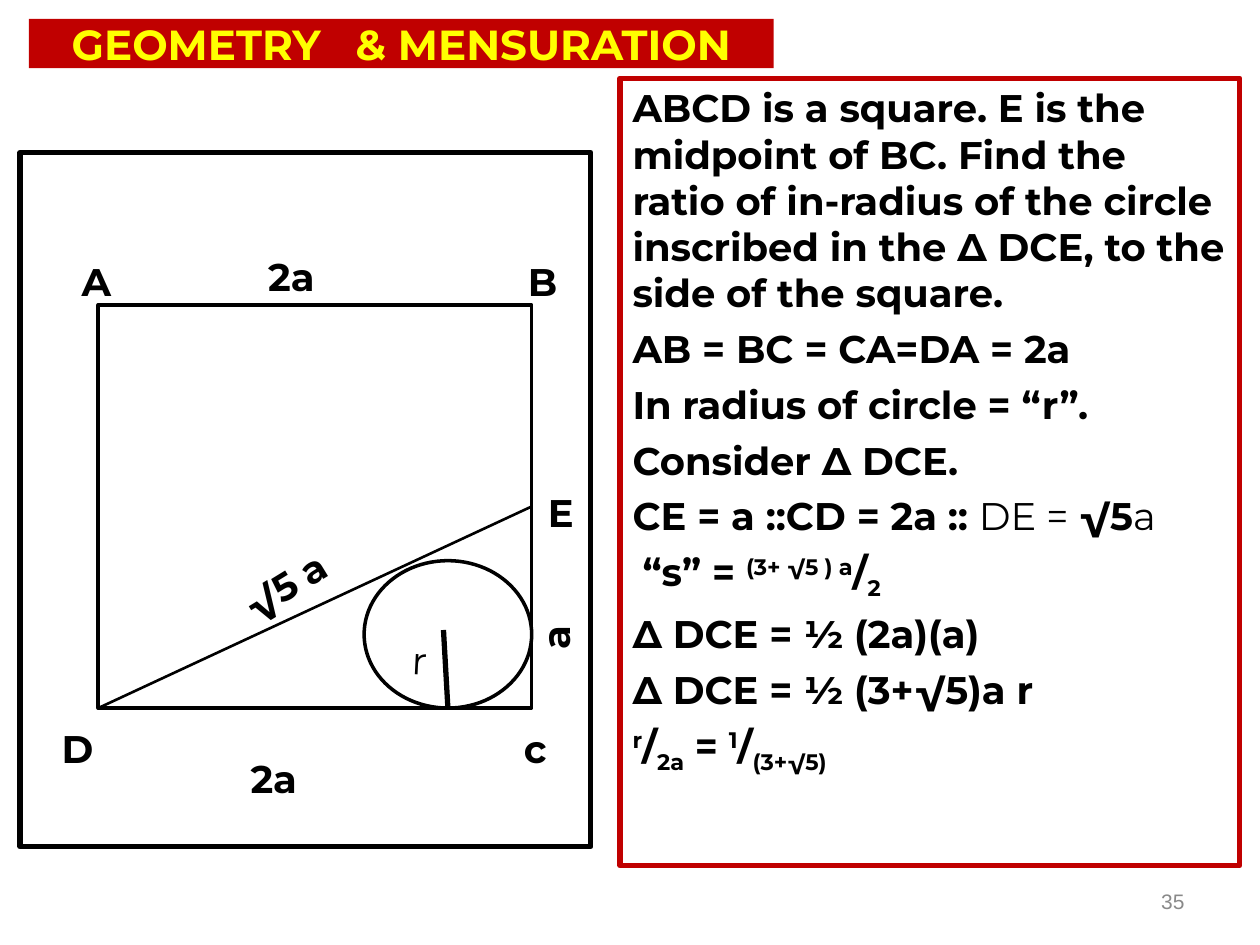
from dataclasses import dataclass

from pptx import Presentation
from pptx.dml.color import RGBColor
from pptx.enum import shapes, text
from pptx.oxml.ns import qn
from pptx.util import Inches, Pt

COLORS = {"ink": "000000", "red": "C00000", "yellow": "FFFF00", "grey": "898989"}
FONT = "Montserrat"
SUP, SUB = 30, -25


@dataclass
class Label:
    text: str
    left: float
    top: float
    width: float = 0.59
    height: float = 0.51
    rotation: float = 0
    bold: bool = True


@dataclass
class Part:
    text: str
    base: int = 0
    bold: bool = True


def rgb(name: str) -> RGBColor:
    return RGBColor.from_string(COLORS[name])


def place(sp, left: float, top: float, width: float, height: float) -> None:
    sp.left, sp.top = Inches(left), Inches(top)
    sp.width, sp.height = Inches(width), Inches(height)


def prepare(sp, anchor):
    tf = sp.text_frame
    tf.word_wrap = True
    tf.auto_size = text.MSO_AUTO_SIZE.NONE
    tf.vertical_anchor = anchor
    return tf


def add_run(p, content: str, *, size: float = 22, color: str = "ink", bold: bool = True,
            font: str = FONT, base: int = 0, spacing: float = 0) -> None:
    r = p.add_run()
    r.text = content
    r.font.name, r.font.size, r.font.bold = font, Pt(size), bold
    r.font.color.rgb = rgb(color)
    rPr = r._r.get_or_add_rPr()
    if base:
        rPr.set("baseline", str(base * 1000))
    if spacing:
        rPr.set("spc", str(round(spacing * 100)))


def add_outline(slide, kind, box: tuple, width: float):
    sp = slide.shapes.add_shape(kind, *map(Inches, box))
    sp.shadow.inherit = False
    sp.fill.background()
    sp.line.color.rgb = rgb("ink")
    sp.line.width = Pt(width)
    return sp


def add_line(slide, start: tuple, end: tuple, width: float):
    cx = slide.shapes.add_connector(shapes.MSO_CONNECTOR.STRAIGHT,
                                    *map(Inches, start + end))
    cx.line.color.rgb = rgb("ink")
    cx.line.width = Pt(width)
    spPr = cx._element.spPr
    spPr.append(spPr.makeelement(qn("a:effectLst"), {}))
    return cx


def add_label(slide, label: Label, anchor) -> None:
    box = (label.left, label.top, label.width, label.height)
    sp = slide.shapes.add_textbox(*map(Inches, box))
    sp.rotation = label.rotation
    add_run(prepare(sp, anchor).paragraphs[0], label.text, bold=label.bold)


def add_step(p, parts: list, indent: float = 0) -> None:
    pPr = p._p.get_or_add_pPr()
    pPr.set("marL", str(Inches(indent)))
    pPr.set("indent", "0")
    pPr.append(pPr.makeelement(qn("a:buNone"), {}))
    for part in parts:
        add_run(p, part.text, base=part.base, bold=part.bold)


STEPS = [
    [Part("ABCD is a square. E is the midpoint of BC. Find the ratio of in-radius of "
          "the circle inscribed in the ∆ DCE, to the side of the square.")],
    [Part("AB = BC = CA=DA = 2a")],
    [Part("In radius of circle = “r”.")],
    [Part("Consider ∆ DCE.")],
    [Part("CE = a ::CD = 2a :: "), Part("DE = ", bold=False), Part("√5"),
     Part("a", bold=False)],
    [Part("“s” = "), Part("(3+ √5 ) a", SUP), Part("/"), Part("2", SUB)],
    [Part("∆ DCE = ½ (2a)(a)")],
    [Part("∆ DCE = ½ (3+√5)a r")],
    [Part("r", SUP), Part("/"), Part("2a", SUB), Part(" = "), Part("1", SUP),
     Part("/"), Part("(3+√5)", SUB)],
]

SIDE_LABELS = [
    Label("2a", 2.03, 1.87, 0.91, 0.55),
    Label("A", 0.55, 1.95),
    Label("B", 4.09, 1.95),
    Label("√5 a", 1.73, 4.12, 1.21, 0.69, rotation=328.4),
    Label("E", 4.25, 3.79),
    Label("c", 4.06, 5.66),
    Label("D", 0.39, 5.66),
    Label("2a", 1.89, 5.78, 0.84, 0.63),
]
INNER_LABELS = [
    Label("a", 4.01, 4.62, 0.8, 0.47, rotation=270),
    Label("r", 3.17, 5.01, 0.57, 0.47, rotation=3, bold=False),
]


def main() -> None:
    prs = Presentation()
    prs.slide_width, prs.slide_height = Inches(10), Inches(7.5)
    slide = prs.slides.add_slide(prs.slide_layouts[1])
    title, body = slide.placeholders

    # Title band
    place(title, 0.23, 0.15, 5.91, 0.39)
    title.fill.solid()
    title.fill.fore_color.rgb = rgb("red")
    p = prepare(title, text.MSO_ANCHOR.MIDDLE).paragraphs[0]
    p.alignment = text.PP_ALIGN.CENTER
    heading = {"size": 24, "color": "yellow"}
    add_run(p, "GEOMETRY", **heading)
    add_run(p, " ", spacing=13, **heading)
    add_run(p, "& MENSURATION", **heading)

    # Problem and solution
    place(body, 4.92, 0.62, 4.92, 6.25)
    body.line.color.rgb = rgb("red")
    body.line.width = Pt(3)
    tf = prepare(body, text.MSO_ANCHOR.TOP)
    for i, parts in enumerate(STEPS):
        p = tf.add_paragraph() if i else tf.paragraphs[0]
        add_step(p, parts, indent=0.08 if parts[0].text.startswith("“s”") else 0)
        p.space_before = Pt(5.5 if i else 0)

    # Figure: frame, square, line DE, inscribed circle and its radius
    rect, oval = shapes.MSO_SHAPE.RECTANGLE, shapes.MSO_SHAPE.OVAL
    add_outline(slide, rect, (0.16, 1.21, 4.53, 5.51), 3)
    square = add_outline(slide, rect, (0.78, 2.42, 3.44, 3.2), 2)
    line_de = add_line(slide, (0.78, 5.62), (4.22, 4.02), 1.5)
    line_de.end_connect(square, 3)
    circle = add_outline(slide, oval, (2.89, 4.45, 1.33, 1.17), 2)
    radius = add_line(slide, (3.56, 5.62), (3.52, 5), 3)
    radius.begin_connect(circle, 2)

    # Figure labels
    for label in SIDE_LABELS:
        add_label(slide, label, text.MSO_ANCHOR.BOTTOM)
    for label in INNER_LABELS:
        add_label(slide, label, text.MSO_ANCHOR.TOP)

    # Page number
    sp = slide.shapes.add_textbox(*map(Inches, (7.17, 6.95, 2.33, 0.4)))
    p = prepare(sp, text.MSO_ANCHOR.MIDDLE).paragraphs[0]
    p.alignment = text.PP_ALIGN.RIGHT
    add_run(p, "35", size=12, color="grey", bold=False, font="Arial")

    prs.save("out.pptx")


if __name__ == "__main__":
    main()
